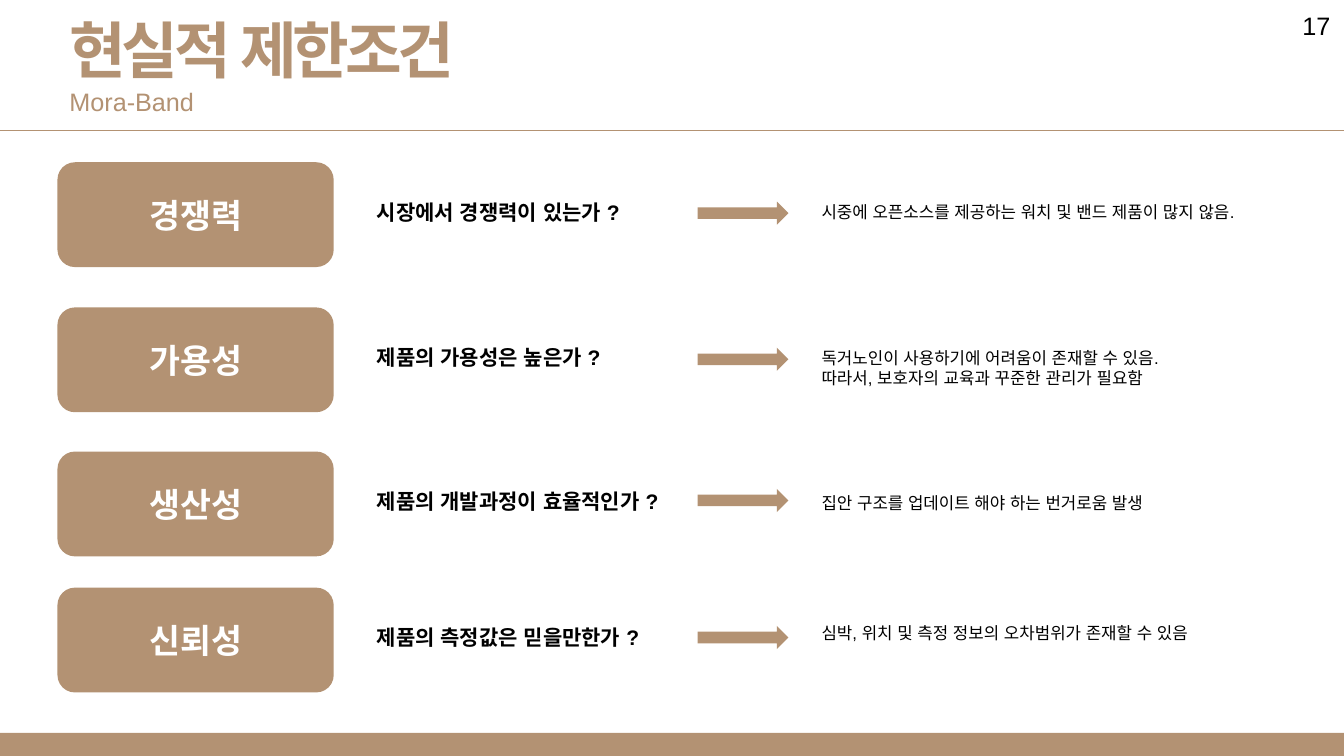
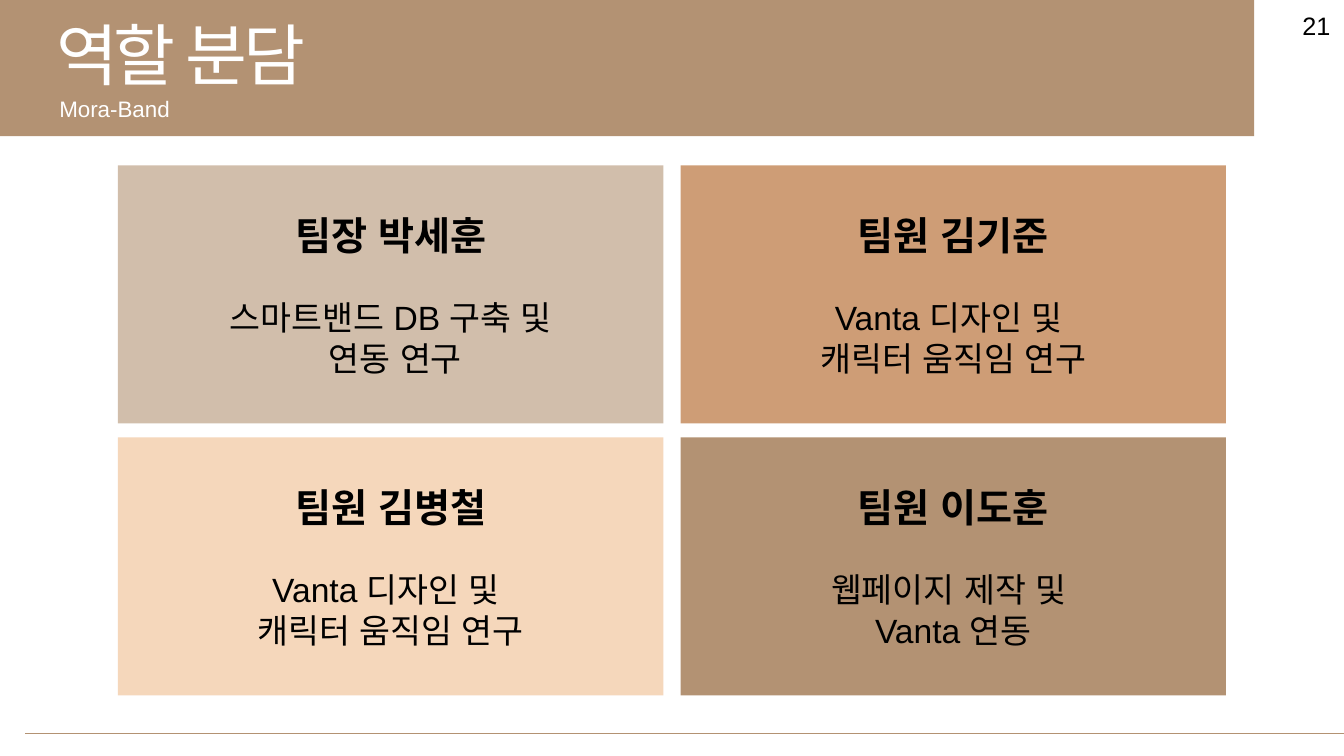
from dataclasses import dataclass

from pptx import Presentation
from pptx.dml.color import RGBColor
from pptx.enum import shapes, text
from pptx.oxml import ns
from pptx.util import Inches, Pt
from lxml import etree

FONT = "Arial"
BROWN, WHITE, BLACK = "B39273", "FFFFFF", "000000"
PROJECT = "Mora-Band"
SHAPE = shapes.MSO_SHAPE


@dataclass
class Condition:
    top: float
    arrow_top: float
    answer_top: float
    label: str
    question: str
    answer: list[str]


@dataclass
class Member:
    name: str
    duties: list[str]
    fill: str


CONDITIONS = [
    Condition(1.61, 2.0, 1.95, "경쟁력", "시장에서 경쟁력이 있는가 ?",
              ["시중에 오픈소스를 제공하는 워치 및 밴드 제품이 많지 않음."]),
    Condition(3.05, 3.45, 3.4, "가용성", "제품의 가용성은 높은가 ?",
              ["독거노인이 사용하기에 어려움이 존재할 수 있음.",
               "따라서, 보호자의 교육과 꾸준한 관리가 필요함"]),
    Condition(4.48, 4.85, 4.84, "생산성", "제품의 개발과정이 효율적인가 ?",
              ["집안 구조를 업데이트 해야 하는 번거로움 발생"]),
    Condition(5.83, 6.21, 6.13, "신뢰성", "제품의 측정값은 믿을만한가 ?",
              ["심박, 위치 및 측정 정보의 오차범위가 존재할 수 있음"]),
]

MEMBERS = [
    Member("팀장 박세훈", ["스마트밴드 DB 구축 및", " 연동 연구"], "D1BEAB"),
    Member("팀원 김기준", ["Vanta 디자인 및 ", "캐릭터 움직임 연구"], "CE9D76"),
    Member("팀원 김병철", ["Vanta 디자인 및 ", "캐릭터 움직임 연구"], "F5D7BB"),
    Member("팀원 이도훈", ["웹페이지 제작 및 ", "Vanta 연동"], BROWN),
]


def rgb(color: str) -> RGBColor:
    return RGBColor.from_string(color)


def write(p, content: str, *, size: float, color: str = BLACK, bold: bool = False,
          spacing: float = 0, center: bool = False, before: float = 0) -> None:
    p.alignment = text.PP_ALIGN.CENTER if center else text.PP_ALIGN.LEFT
    if before:
        p.space_before = Pt(before)
    r = p.add_run()
    r.text = content
    r.font.size = Pt(size)
    r.font.bold = bold
    r.font.color.rgb = rgb(color)
    r.font.name = FONT
    props = r.font._element
    etree.SubElement(props, ns.qn("a:ea")).set("typeface", FONT)
    if spacing:
        props.set("spc", str(int(spacing * 100)))


def add_text(s, left: float, top: float, width: float, height: float,
             lines: list[str], *, wrap: bool = True, **style) -> None:
    tf = s.shapes.add_textbox(Inches(left), Inches(top),
                              Inches(width), Inches(height)).text_frame
    tf.word_wrap = wrap
    tf.auto_size = text.MSO_AUTO_SIZE.SHAPE_TO_FIT_TEXT
    for i, line in enumerate(lines):
        write(tf.add_paragraph() if i else tf.paragraphs[0], line, **style)


def add_block(s, kind, left: float, top: float, width: float, height: float,
              fill: str = BROWN):
    sp = s.shapes.add_shape(kind, Inches(left), Inches(top),
                            Inches(width), Inches(height))
    sp.shadow.inherit = False
    sp.fill.solid()
    sp.fill.fore_color.rgb = rgb(fill)
    sp.line.fill.background()
    sp.text_frame.vertical_anchor = text.MSO_ANCHOR.MIDDLE
    return sp


def add_rule(s, left: float, top: float) -> None:
    line = s.shapes.add_connector(shapes.MSO_CONNECTOR.STRAIGHT, Inches(left),
                                  Inches(top), Inches(13.33), Inches(top))
    line.line.color.rgb = rgb(BROWN)
    line.line.width = Pt(0.5)
    etree.SubElement(line._element.spPr, ns.qn("a:effectLst"))


def add_slide(prs, number: int):
    s = prs.slides.add_slide(prs.slide_layouts[6])
    add_text(s, 12.78, 0.05, 0.55, 0.4, [str(number)], size=18, center=True)
    return s


def add_title(s, left: float, top: float, width: float, height: float,
              title: str, **style) -> None:
    add_text(s, left, top, width, height, [title], wrap=False, spacing=-3, **style)


def build_conditions(prs) -> None:
    s = add_slide(prs, 17)
    add_block(s, SHAPE.RECTANGLE, 0, 7.27, 13.33, 0.23)
    add_rule(s, 0, 1.29)
    add_text(s, 0.59, 0.81, 6.68, 0.4, [PROJECT], size=18, color=BROWN)
    add_title(s, 0.59, 0.07, 4.36, 0.84, "현실적 제한조건",
              size=44, color=BROWN, bold=True)
    for row in CONDITIONS:
        label = add_block(s, SHAPE.ROUNDED_RECTANGLE, 0.57, row.top, 2.74, 1.04)
        write(label.text_frame.paragraphs[0], row.label,
              size=24, color=WHITE, bold=True, center=True)
        add_text(s, 3.64, row.top + 0.32, 3.66, 0.35, [row.question],
                 size=15, bold=True)
        add_block(s, SHAPE.RIGHT_ARROW, 6.92, row.arrow_top, 0.9, 0.23)
        add_text(s, 8.05, row.answer_top, 4.73, 0.2 * len(row.answer) + 0.1,
                 row.answer, size=12)


def build_roles(prs) -> None:
    s = add_slide(prs, 21)
    add_block(s, SHAPE.RECTANGLE, 0, -0.01, 12.44, 1.36)
    add_rule(s, 0.25, 7.28)
    add_title(s, 0.46, 0.08, 2.87, 0.91, "역할 분담", size=48, color=WHITE)
    add_text(s, 0.49, 0.89, 1.3, 0.37, [PROJECT], wrap=False, size=16, color=WHITE)
    for i, member in enumerate(MEMBERS):
        row, col = divmod(i, 2)
        card = add_block(s, SHAPE.RECTANGLE, 1.17 + col * 5.58, 1.64 + row * 2.7,
                         5.41, 2.56, member.fill)
        tf = card.text_frame
        write(tf.paragraphs[0], member.name, size=28, bold=True, center=True)
        for j, duty in enumerate(member.duties):
            write(tf.add_paragraph(), duty, size=24, center=True,
                  before=0 if j else 28)


def main() -> None:
    prs = Presentation()
    prs.slide_width, prs.slide_height = Inches(13.33), Inches(7.5)
    build_conditions(prs)
    build_roles(prs)
    prs.save("out.pptx")


if __name__ == "__main__":
    main()
